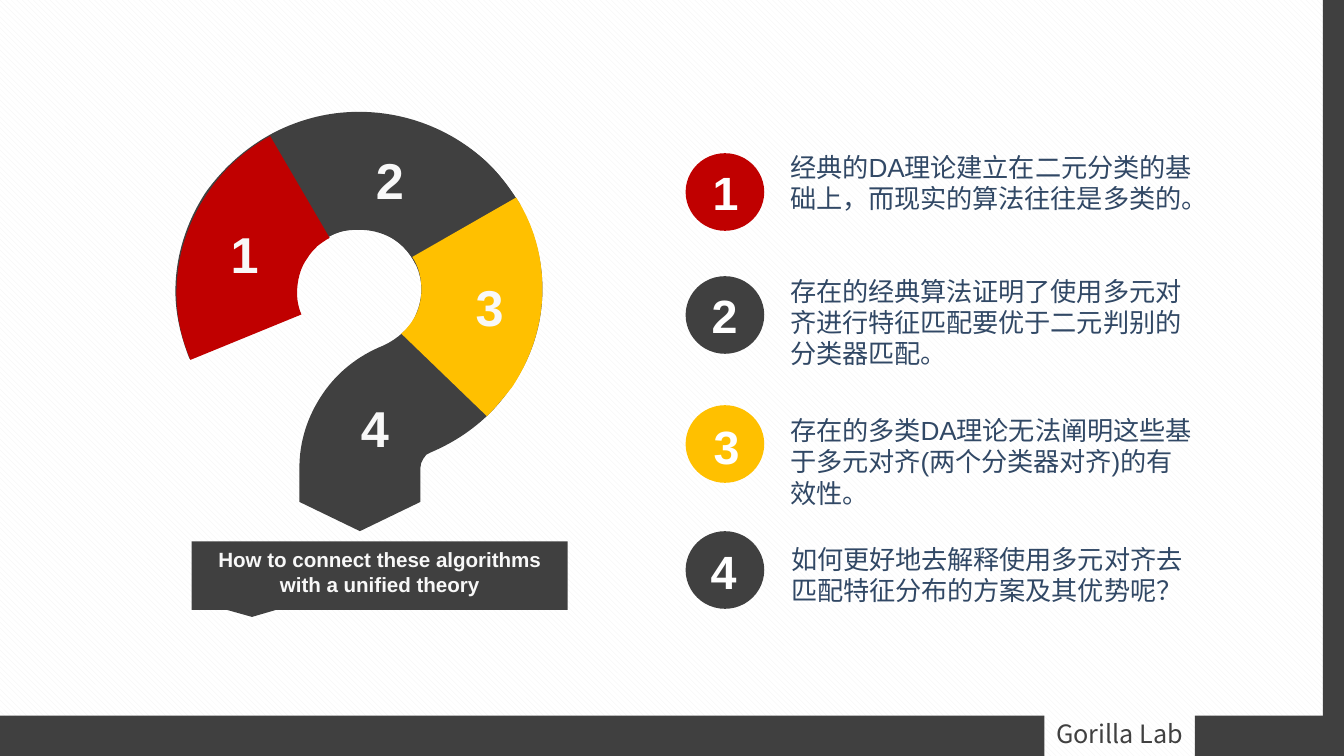
from lxml import etree
from pptx import Presentation
from pptx.dml.color import RGBColor
from pptx.enum.dml import MSO_PATTERN
from pptx.enum.shapes import MSO_SHAPE
from pptx.enum.text import MSO_ANCHOR, MSO_AUTO_SIZE, PP_ALIGN
from pptx.oxml.ns import qn
from pptx.util import Pt

RECT, OVAL = MSO_SHAPE.RECTANGLE, MSO_SHAPE.OVAL
LEFT, CENTER = PP_ALIGN.LEFT, PP_ALIGN.CENTER
TOP, MIDDLE = MSO_ANCHOR.TOP, MSO_ANCHOR.MIDDLE
PX = 9144  # 100 px to the inch
DARK, RED, YELLOW = "404040", "C00000", "FFC000"
WHITE, PALE, NAVY = "FFFFFF", "F8F8F8", "314865"


def paint(sp, color):
    """Give a shape a flat fill with no outline or shadow."""
    sp.shadow.inherit = False
    sp.fill.solid()
    sp.fill.fore_color.rgb = RGBColor.from_string(color)
    sp.line.fill.background()


def write(sp, text, size, color, bold=False, font="Arial", align=LEFT,
          anchor=TOP, inset=(10, 5), grow=True):
    tf = sp.text_frame
    tf.word_wrap = True
    tf.vertical_anchor = anchor
    tf.auto_size = MSO_AUTO_SIZE.SHAPE_TO_FIT_TEXT if grow else MSO_AUTO_SIZE.NONE
    tf.margin_left = tf.margin_right = inset[0] * PX
    tf.margin_top = tf.margin_bottom = inset[1] * PX
    p = tf.paragraphs[0]
    p.alignment = align
    r = p.add_run()
    r.text = text
    r.font.size = Pt(size)
    r.font.bold = bold
    r.font.name = font
    r.font.color.rgb = RGBColor.from_string(color)
    etree.SubElement(r.font._element, qn("a:ea")).set("typeface", font)


prs = Presentation()
prs.slide_width, prs.slide_height = 1333 * PX, 750 * PX
slide = prs.slides.add_slide(prs.slide_layouts[6])
shapes = slide.shapes

bg = slide.background.fill
bg.patterned()
bg.pattern = MSO_PATTERN.WIDE_DOWNWARD_DIAGONAL
bg.fore_color.rgb = RGBColor.from_string("F2F2F2")
bg.back_color.rgb = RGBColor.from_string(WHITE)

# Frame bars and lab name
for box in [(1312, 0, 21, 150), (1312, 150, 21, 600),
            (0, 710, 1036, 40), (1185, 710, 148, 40)]:
    paint(shapes.add_shape(RECT, *(v * PX for v in box)), DARK)
sp = shapes.add_textbox(*(v * PX for v in (1036, 708, 149, 40)))
write(sp, "Gorilla Lab", 18, DARK, font="Noto Sans CJK SC", align=CENTER)

# Outlines: a pair is a corner, six numbers are a Bézier curve
banner = [(190, 537), (563, 537), (563, 605), (274, 605), (250, 612),
          (225, 605), (190, 605)]
question_mark = [
    (188, 356), (179, 333, 174, 311, 174, 289), (174, 254, 185, 220, 204, 191),
    (224, 163, 252, 139, 286, 125), (308, 116, 331, 111, 356, 111),
    (406, 111, 452, 131, 485, 163), (517, 195, 538, 239, 538, 287),
    (538, 322, 527, 356, 507, 384), (488, 413, 460, 435, 427, 449),
    (424, 450, 421, 452, 420, 455), (418, 458, 417, 461, 417, 464),
    (417, 498), (357, 527), (297, 498), (297, 464),
    (297, 438, 305, 413, 320, 391), (334, 370, 355, 353, 380, 343),
    (391, 338, 401, 330, 408, 321), (414, 311, 418, 299, 418, 287),
    (418, 271, 411, 256, 400, 245), (389, 234, 373, 227, 356, 227),
    (347, 227, 339, 229, 332, 232), (321, 236, 311, 244, 305, 254),
    (298, 265, 294, 276, 294, 289), (294, 296, 295, 304, 298, 311)]
top_arc = [
    (267, 135), (273, 132, 279, 128, 286, 126), (308, 117, 331, 112, 356, 112),
    (406, 112, 452, 132, 485, 163), (497, 175, 507, 189, 516, 203), (412, 262),
    (409, 256, 405, 250, 400, 245), (389, 234, 373, 228, 356, 228),
    (347, 228, 339, 229, 332, 232), (330, 233, 328, 234, 326, 235)]
right_arc = [
    (512, 196), (529, 223, 538, 253, 538, 287), (538, 322, 527, 355, 508, 384),
    (500, 394, 492, 404, 483, 413), (398, 331), (402, 328, 405, 324, 408, 320),
    (415, 310, 418, 299, 418, 287), (418, 275, 415, 264, 409, 255)]
left_arc = [
    (189, 357), (177, 329, 173, 301, 176, 273), (179, 244, 189, 217, 205, 193),
    (213, 181, 222, 170, 233, 160), (243, 151, 255, 142, 268, 135), (327, 236),
    (323, 238, 319, 241, 315, 244), (311, 248, 308, 251, 305, 256),
    (299, 264, 296, 274, 295, 284), (294, 293, 295, 303, 299, 312)]

for outline, color in [(banner, DARK), (question_mark, DARK), (top_arc, DARK),
                       (right_arc, YELLOW), (left_arc, RED)]:
    points = [pt for seg in outline for pt in zip(seg[::2], seg[1::2])]
    builder = shapes.build_freeform(*points[0], scale=PX)
    builder.add_line_segments(points[1:], close=True)
    sp = builder.convert_to_shape()
    paint(sp, color)
    # Join the three lines of each curve into one Bézier segment
    lines = iter(list(sp._element.iter(qn("a:lnTo"))))
    for seg in outline[1:]:
        first = next(lines)
        if len(seg) == 6:
            first.tag = qn("a:cubicBezTo")
            for line in (next(lines), next(lines)):
                first.append(line[0])
                line.getparent().remove(line)

sp = shapes.add_textbox(*(v * PX for v in (190, 537, 373, 61)))
write(sp, "How to connect these algorithms with a unified theory", 14.67, PALE,
      bold=True, align=CENTER, inset=(12, 6))

# Numbered points: colour, circle top, number left and top, text box, text
POINTS = [
    (RED, 152, (697, 161), (772, 144, 424, 106),
     "经典的DA理论建立在二元分类的基础上，而现实的算法往往是多类的。"),
    (DARK, 274, (696, 283), (772, 267, 424, 106),
     "存在的经典算法证明了使用多元对齐进行特征匹配要优于二元判别的分类器匹配。"),
    (YELLOW, 402, (698, 413), (772, 405, 424, 106),
     "存在的多类DA理论无法阐明这些基于多元对齐(两个分类器对齐)的有效性。"),
    (DARK, 527, (695, 537), (773, 533, 424, 75),
     "如何更好地去解释使用多元对齐去匹配特征分布的方案及其优势呢？"),
]
for n, (color, top, number_at, box, text) in enumerate(POINTS, 1):
    badge = shapes.add_group_shape().shapes
    paint(badge.add_shape(OVAL, *(v * PX for v in (680, top, 78, 77))), color)
    sp = badge.add_shape(RECT, *(v * PX for v in (*number_at, 44, 58)))
    paint(sp, color)
    write(sp, str(n), 33.3, WHITE, bold=True, align=CENTER, anchor=MIDDLE, grow=False)
    sp = shapes.add_textbox(*(v * PX for v in box))
    write(sp, text, 18.67, NAVY, inset=(12, 6))

# Numbers on the question mark
for n, (x, y) in enumerate([(219, 216), (363, 143), (462, 269), (348, 389)], 1):
    sp = shapes.add_textbox(x * PX, y * PX, 44 * PX, 71 * PX)
    write(sp, str(n), 36, PALE, bold=True)

prs.save("out.pptx")
